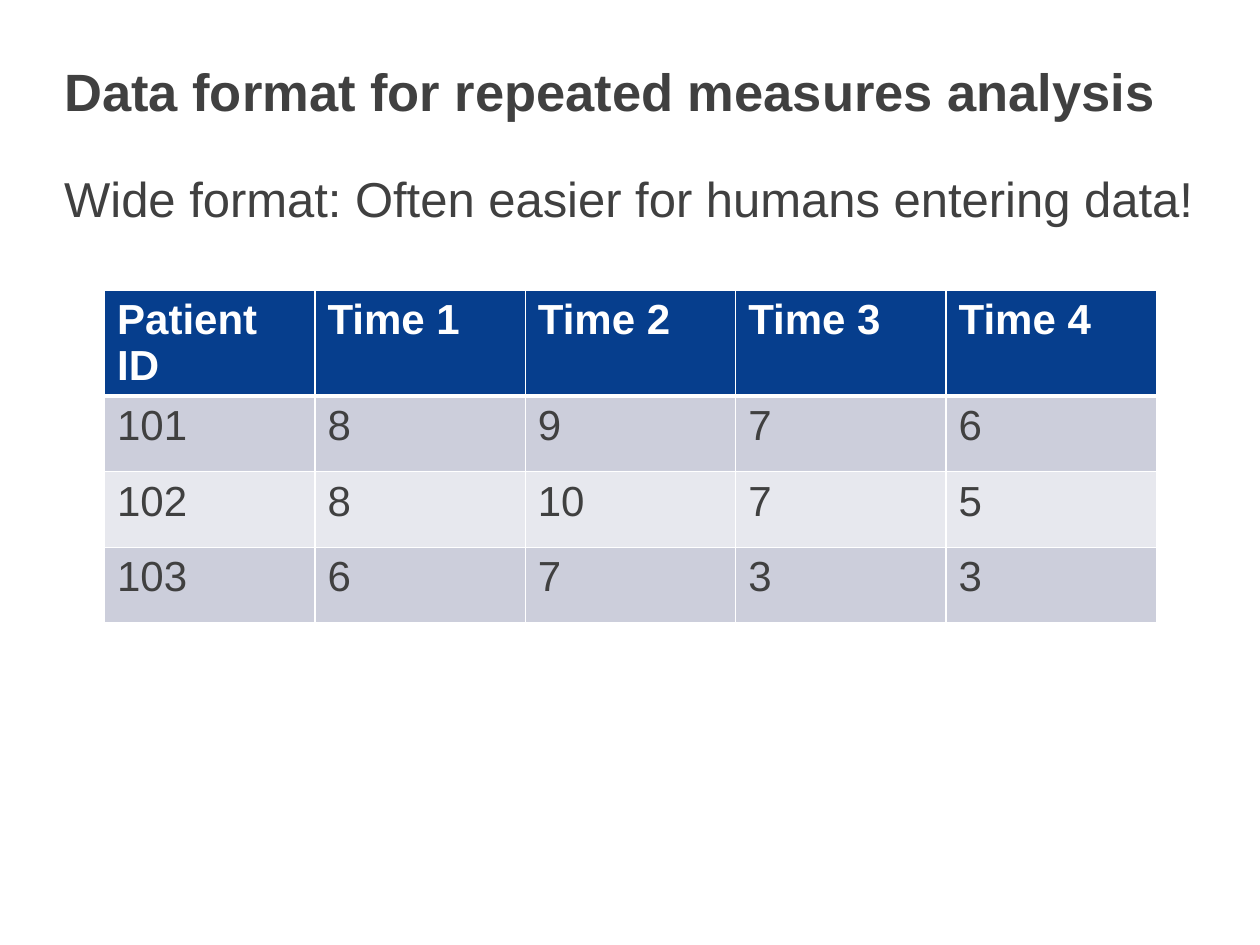
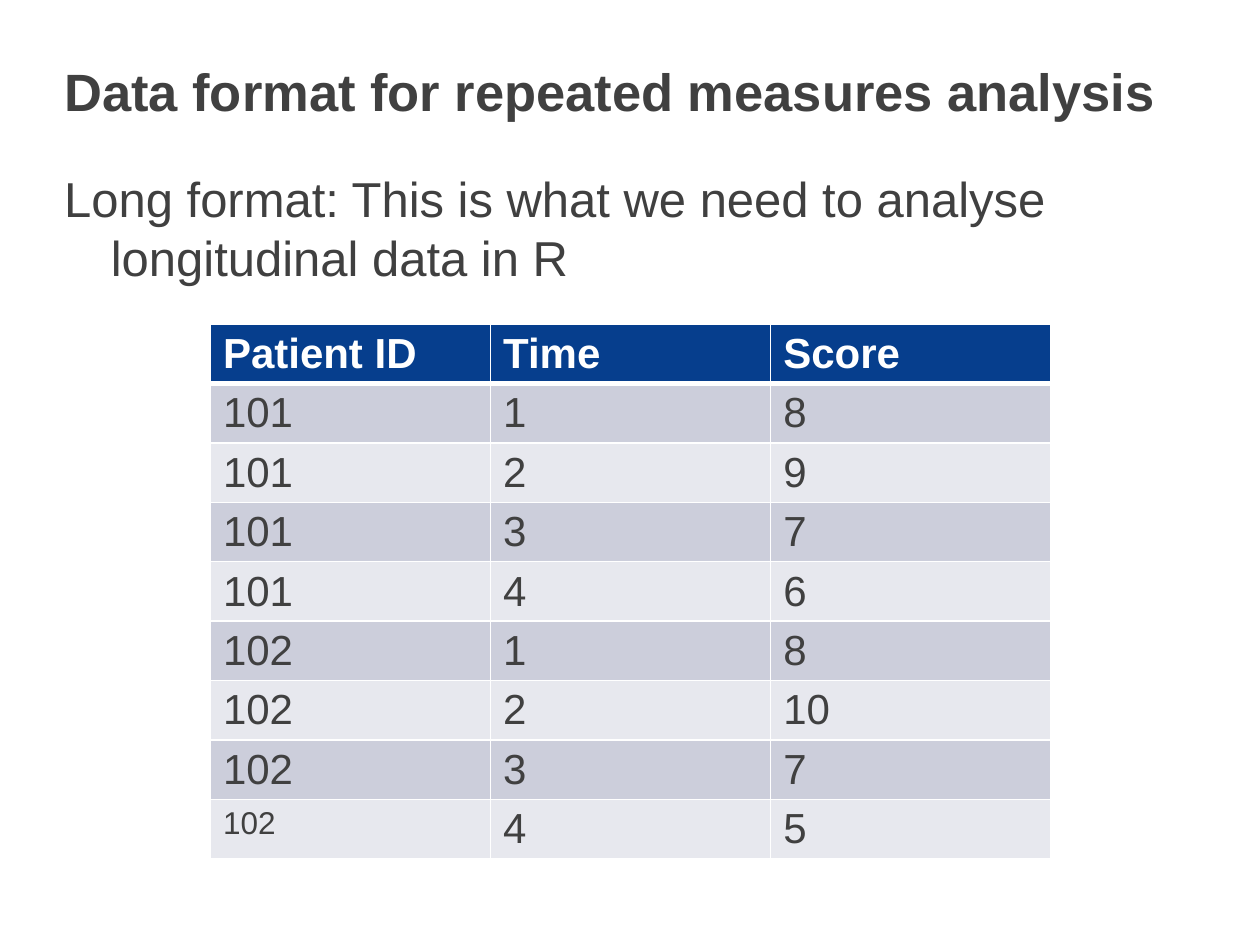
import dataclasses

import lxml.etree
import pptx
import pptx.dml.color
import pptx.enum.text
import pptx.oxml.ns
import pptx.util

Inches = pptx.util.Inches
Pt = pptx.util.Pt

COLORS = {
    "text": "404040",
    "head": "063E8D",
    "white": "FFFFFF",
    "odd": "CCCEDB",
    "even": "E7E8EE",
}
FONT = "Arial"
TITLE = "Data format for repeated measures analysis"
LEFT = Inches(0.51)

# Scores of each patient at times 1 to 4
SCORES = {101: (8, 9, 7, 6), 102: (8, 10, 7, 5), 103: (6, 7, 3, 3)}
WIDE = [("Patient ID", *(f"Time {n}" for n in range(1, 5)))]
WIDE += [(name, *marks) for name, marks in SCORES.items()]
LONG = [("Patient ID", "Time", "Score")]
LONG += [(name, time, mark) for name in (101, 102)
         for time, mark in enumerate(SCORES[name], 1)]


@dataclasses.dataclass
class Grid:
    rows: list
    left: float
    top: float
    width: float
    head: float
    row: float
    small: tuple = ()  # (row, column) cells in smaller type


@dataclasses.dataclass
class Page:
    lead: str
    width: float
    height: float
    grid: Grid


PAGES = [
    Page("Wide format: Often easier for humans entering data!", 9.21, 0.6,
         Grid(WIDE, 0.83, 2.3, 8.35, 0.39, 0.6)),
    Page("Long format: This is what we need to analyse longitudinal data in R",
         8.98, 1.23, Grid(LONG, 1.67, 2.57, 6.67, 0.41, 0.41, ((8, 0),))),
]


def color(name: str) -> pptx.dml.color.RGBColor:
    return pptx.dml.color.RGBColor.from_string(COLORS[name])


def style(par, size: float, tint: str = "text", bold: bool = False) -> None:
    par.font.name = FONT
    par.font.size = Pt(size)
    par.font.bold = bold
    par.font.color.rgb = color(tint)


def set_frame(frame) -> None:
    """Wrap the text at the top left, with no margins."""
    frame.word_wrap = True
    frame.auto_size = pptx.enum.text.MSO_AUTO_SIZE.NONE
    frame.vertical_anchor = pptx.enum.text.MSO_ANCHOR.TOP
    frame.margin_left = frame.margin_right = 0
    frame.margin_top = frame.margin_bottom = 0
    frame.paragraphs[0].alignment = pptx.enum.text.PP_ALIGN.LEFT


def add_title(slide) -> None:
    title = slide.shapes.title
    title.left, title.top = LEFT, Inches(0.47)
    title.width, title.height = Inches(8.98), Inches(0.5)
    title.text_frame.text = TITLE
    set_frame(title.text_frame)
    style(title.text_frame.paragraphs[0], 30, bold=True)


def add_lead(slide, page: Page) -> None:
    box = slide.shapes.add_textbox(LEFT, Inches(1.34), Inches(page.width),
                                   Inches(page.height))
    box.text_frame.text = page.lead
    set_frame(box.text_frame)
    par = box.text_frame.paragraphs[0]
    par.space_before = Pt(12)
    style(par, 28)
    # Hanging indent
    props = par._p.get_or_add_pPr()
    props.set("marL", str(Inches(0.37)))
    props.set("indent", str(-Inches(0.37)))


def add_edges(cell, above: float, below: float) -> None:
    """Draw white borders; they come before the fill in the XML."""
    qn = pptx.oxml.ns.qn
    props = cell._tc.get_or_add_tcPr()
    widths = {"L": 1, "R": 1, "T": above, "B": below}
    for spot, (side, width) in enumerate(widths.items()):
        line = lxml.etree.Element(qn(f"a:ln{side}"), w=str(Pt(width)))
        fill = lxml.etree.SubElement(line, qn("a:solidFill"))
        lxml.etree.SubElement(fill, qn("a:srgbClr"), val=COLORS["white"])
        props.insert(spot, line)


def add_grid(slide, grid: Grid) -> None:
    count = len(grid.rows[0])
    height = grid.head + grid.row * (len(grid.rows) - 1)
    table = slide.shapes.add_table(
        len(grid.rows), count, Inches(grid.left), Inches(grid.top),
        Inches(grid.width), Inches(height)).table
    for col in table.columns:
        col.width = Inches(grid.width / count)
    for r, values in enumerate(grid.rows):
        head = r == 0
        table.rows[r].height = Inches(grid.head if head else grid.row)
        band = "head" if head else "odd" if r % 2 else "even"
        for c, value in enumerate(values):
            cell = table.cell(r, c)
            cell.text = str(value)
            cell.fill.solid()
            cell.fill.fore_color.rgb = color(band)
            add_edges(cell, 3 if r == 1 else 1, 3 if head else 1)
            style(cell.text_frame.paragraphs[0],
                  18 if (r, c) in grid.small else 24,
                  "white" if head else "text", head)


def main() -> None:
    deck = pptx.Presentation()
    deck.slide_width, deck.slide_height = Inches(10), Inches(7.5)
    for page in PAGES:
        slide = deck.slides.add_slide(deck.slide_layouts[5])
        add_title(slide)
        add_lead(slide, page)
        add_grid(slide, page.grid)
    deck.save("out.pptx")


if __name__ == "__main__":
    main()
